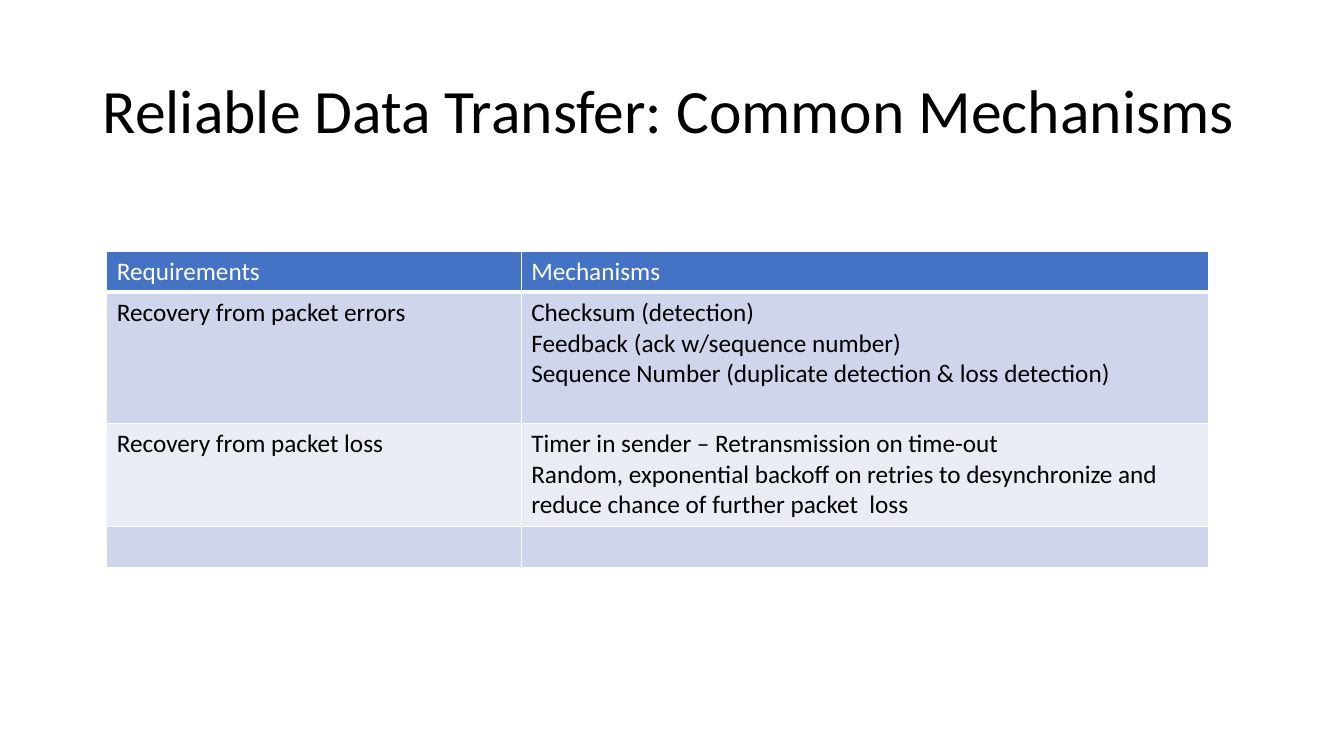
"""Build a slide that tabulates reliable data transfer mechanisms."""
from lxml import etree
from pptx import Presentation
from pptx.dml.color import RGBColor
from pptx.enum import text
from pptx.oxml import ns
from pptx.util import Inches, Pt

FONT = "Calibri"
BLACK = RGBColor(0x00, 0x00, 0x00)
WHITE = RGBColor(0xFF, 0xFF, 0xFF)
HEADER = RGBColor(0x44, 0x72, 0xC4)
BANDS = (RGBColor(0xE9, 0xEB, 0xF5), RGBColor(0xCF, 0xD5, 0xEA))

COL_WIDTHS = (4.11, 6.82)
ROW_HEIGHTS = (0.41, 1.3, 1.02, 0.41)
ROWS = (
    ("Requirements", "Mechanisms"),
    ("Recovery from packet errors",
     "Checksum (detection)\n"
     "Feedback (ack w/sequence number)\n"
     "Sequence Number (duplicate detection & loss detection)"),
    ("Recovery from packet loss",
     "Timer in sender – Retransmission on time-out\n"
     "Random, exponential backoff on retries to desynchronize and "
     "reduce chance of further packet  loss"),
    ("", ""),
)


def format_text(tf, size, color):
    """Apply font, size and colour to every run of a text frame."""
    for p in tf.paragraphs:
        p.font.size = Pt(size)
        for r in p.runs:
            r.font.name = FONT
            r.font.size = Pt(size)
            r.font.bold = False
            r.font.color.rgb = color


def add_title(s, title):
    """Fill and place the title placeholder."""
    sp = s.shapes.title
    sp.left, sp.top = Inches(0.92), Inches(0.4)
    sp.width, sp.height = Inches(11.5), Inches(1.45)
    tf = sp.text_frame
    tf.text = title
    tf.word_wrap = True
    tf.auto_size = text.MSO_AUTO_SIZE.NONE
    tf.vertical_anchor = text.MSO_ANCHOR.MIDDLE
    tf.paragraphs[0].alignment = text.PP_ALIGN.LEFT
    tf.paragraphs[0].line_spacing = 0.9
    format_text(tf, 44, BLACK)


def set_borders(cell, top, bottom):
    """Draw white borders, one point wide at the sides."""
    tc_pr = cell._tc.get_or_add_tcPr()
    for side, width in (("L", 1), ("R", 1), ("T", top), ("B", bottom)):
        ln = etree.SubElement(tc_pr, ns.qn(f"a:ln{side}"), w=str(Pt(width)))
        fill = etree.SubElement(ln, ns.qn("a:solidFill"))
        etree.SubElement(fill, ns.qn("a:srgbClr"), val=str(WHITE))


def add_mechanism_table(s):
    """Add the table with a header row and banded body rows."""
    frame = s.shapes.add_table(
        len(ROWS), len(COL_WIDTHS), Inches(1.06), Inches(2.49),
        Inches(sum(COL_WIDTHS)), Inches(sum(ROW_HEIGHTS)))
    table = frame.table
    for column, width in zip(table.columns, COL_WIDTHS):
        column.width = Inches(width)
    for i, (row, height) in enumerate(zip(table.rows, ROW_HEIGHTS)):
        row.height = Inches(height)
        for cell, content in zip(row.cells, ROWS[i]):
            cell.text_frame.text = content
            format_text(cell.text_frame, 18, BLACK if i else WHITE)
            set_borders(cell, 3 if i == 1 else 1, 1 if i else 3)
            cell.fill.solid()
            cell.fill.fore_color.rgb = BANDS[i % 2] if i else HEADER


def main():
    """Build and save the presentation."""
    prs = Presentation()
    prs.slide_width, prs.slide_height = Inches(13.33), Inches(7.5)
    s = prs.slides.add_slide(prs.slide_layouts[5])
    add_title(s, "Reliable Data Transfer: Common Mechanisms")
    add_mechanism_table(s)
    prs.save("out.pptx")


if __name__ == "__main__":
    main()
